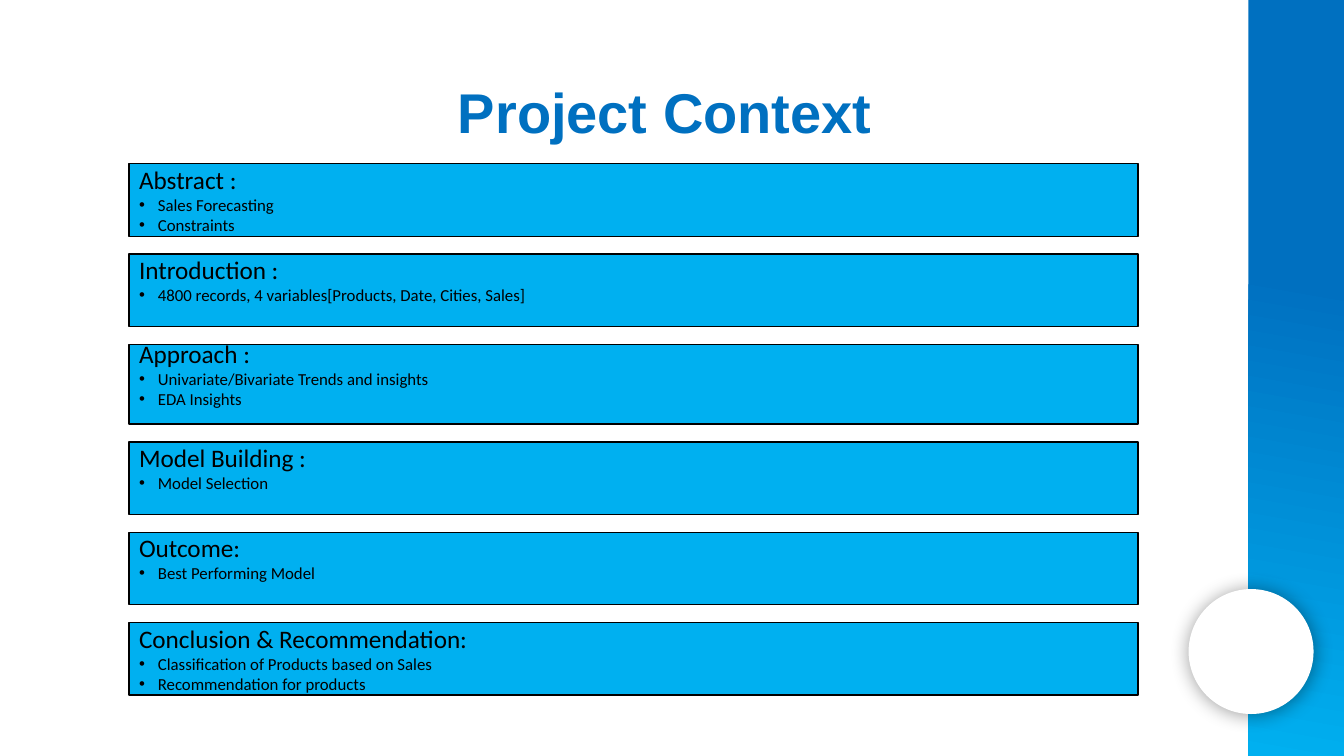
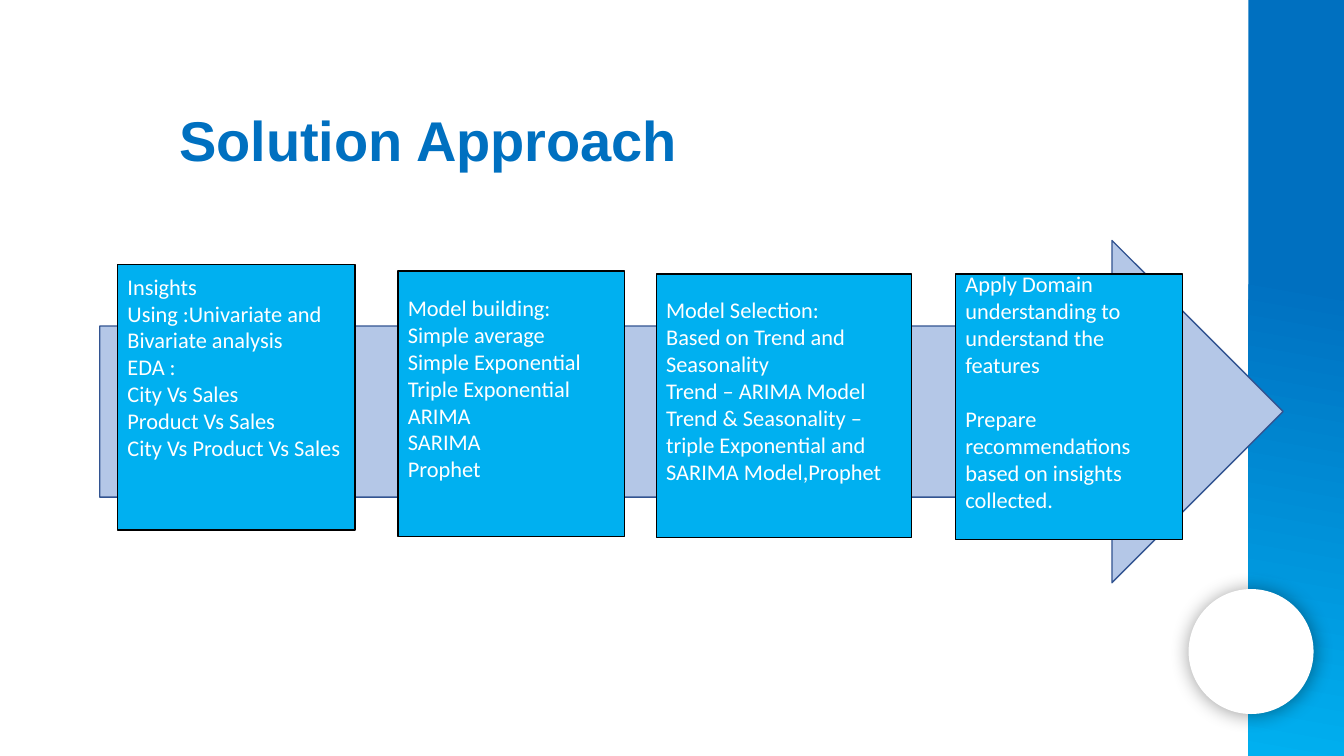
"""Build two slides on a sales forecasting project: its context and its approach."""
from lxml import etree
from pptx import Presentation, util as u
from pptx.dml.color import RGBColor
from pptx.enum import shapes, text
from pptx.oxml import ns

PX = 9525
BLUE = RGBColor(0x00, 0x70, 0xC0)
SKY = RGBColor(0x00, 0xB0, 0xF0)
PALE = RGBColor(0xB4, 0xC7, 0xE7)
NAVY = RGBColor(0x32, 0x54, 0x91)
BLACK = RGBColor(0, 0, 0)
WHITE = RGBColor(255, 255, 255)
KIND = shapes.MSO_SHAPE
HEAD, ITEM, STEP = 18, 12, 16

ROWS = [
    (69, 0, "Abstract :", ["Sales Forecasting", "Constraints"]),
    (69, 20, "Introduction :",
     ["4800 records, 4 variables[Products, Date, Cities, Sales]"]),
    (76, 20, "Approach :",
     ["Univariate/Bivariate Trends and insights", "EDA Insights"]),
    (69, 20, "Model Building :", ["Model Selection"]),
    (69, 20, "Outcome:", ["Best Performing Model"]),
    (69, 0, "Conclusion & Recommendation:",
     ["Classification of Products based on Sales", "Recommendation for products"]),
]
STEPS = [
    ((112, 252, 226, 253), 58, 0,
     ["Insights Using :Univariate and Bivariate analysis", "EDA :",
      "City Vs Sales", "Product Vs Sales", "City Vs Product Vs Sales"]),
    ((379, 258, 216, 253), 29, 0,
     ["Model building:", "Simple average", "Simple Exponential",
      "Triple Exponential", "ARIMA", "SARIMA", "Prophet"]),
    ((625, 261, 243, 251), 29, 0,
     ["Model Selection:", "Based on Trend and Seasonality",
      "Trend – ARIMA Model",
      "Trend & Seasonality – triple Exponential and SARIMA Model,Prophet"]),
    ((910, 261, 216, 253), 29, 26,
     ["Apply Domain understanding to understand the features",
      "Prepare recommendations based on insights collected."]),
]


def emu(*px):
    """Turn px lengths into EMU."""
    return [u.Emu(n * PX) for n in px]


def add_shape(slide, kind, at, fill, line=None):
    """Add a flat preset shape."""
    shape = slide.shapes.add_shape(kind, *emu(*at))
    shape.shadow.inherit = False
    shape.fill.solid()
    shape.fill.fore_color.rgb = fill
    if line is None:
        shape.line.fill.background()
    else:
        shape.line.color.rgb = line
        shape.line.width = u.Pt(1)
    return shape


def add_glow(shape):
    """Give a shape a soft shadow."""
    fx = shape.element.spPr.find(ns.qn("a:effectLst"))
    glow = etree.SubElement(fx, ns.qn("a:outerShdw"), blurRad=str(u.Pt(14)),
                            dist=str(u.Pt(1)), dir=str(43 * 60000),
                            algn="ctr", rotWithShape="0")
    tint = etree.SubElement(glow, ns.qn("a:srgbClr"), val=str(BLACK))
    etree.SubElement(tint, ns.qn("a:alpha"), val="40000")


def dress(slide, layout):
    """Draw the side band and disc, and move them to the layout."""
    band = add_shape(slide, KIND.RECTANGLE, (1189, 0, 91, 720), BLUE)
    band.fill.gradient()
    band.fill.gradient_angle = 260
    for stop, (place, tone) in zip(band.fill.gradient_stops,
                                   [(0.37, BLUE), (1, SKY)]):
        stop.position = place
        stop.color.rgb = tone
    disc = add_shape(slide, KIND.OVAL, (1132, 561, 119, 119), WHITE)
    add_glow(disc)
    for part in (band, disc):
        layout.shapes.element.append(part.element)


def set_font(para, size, tone, face="Calibri", bold=False):
    """Format the runs of a paragraph."""
    for run in para.runs:
        run.font.name = face
        run.font.size = u.Pt(size)
        run.font.bold = bold
        run.font.color.rgb = tone


def set_title(slide, words, at, align):
    """Fill and place the title."""
    title = slide.shapes.title
    title.left, title.top, title.width, title.height = emu(*at)
    frame = title.text_frame
    frame.text = words
    frame.auto_size = text.MSO_AUTO_SIZE.NONE
    frame.vertical_anchor = text.MSO_ANCHOR.TOP
    para = frame.paragraphs[0]
    para.alignment = align
    set_font(para, 40, BLUE, "Arial", True)


def add_box(slide, at, lines, pad):
    """Add a sky box of left-aligned lines and return its paragraphs."""
    box = add_shape(slide, KIND.RECTANGLE, at, SKY, BLACK)
    frame = box.text_frame
    frame.word_wrap = True
    frame.vertical_anchor = text.MSO_ANCHOR.MIDDLE
    frame.margin_bottom = u.Emu((5 + pad) * PX)
    frame.text = "\n".join(lines)
    for para in frame.paragraphs:
        para.alignment = text.PP_ALIGN.LEFT
    return frame.paragraphs


def add_dot(para):
    """Set a bullet and its hanging indent."""
    props = para._p.get_or_add_pPr()
    props.set("marL", str(18 * PX))
    props.set("indent", str(-18 * PX))
    etree.SubElement(props, ns.qn("a:buFont"), typeface="Arial")
    etree.SubElement(props, ns.qn("a:buChar"), char="•")


def add_rows(slide):
    """Stack the topic boxes with equal gaps."""
    top, gap = 156, 17
    for high, pad, head, items in ROWS:
        first, *rest = add_box(slide, (123, top, 961, high), [head, *items], pad)
        set_font(first, HEAD, BLACK)
        for para in rest:
            set_font(para, ITEM, BLACK)
            add_dot(para)
        top += high + gap


def add_steps(slide):
    """Lay the step boxes over a wide arrow."""
    add_shape(slide, KIND.RIGHT_ARROW, (95, 229, 1127, 326), PALE, NAVY)
    for at, pad, gap, lines in STEPS:
        for rank, para in enumerate(add_box(slide, at, lines, pad)):
            set_font(para, STEP, WHITE)
            if rank and gap:
                para.space_before = u.Emu(gap * PX)


def main():
    """Build and save the slides."""
    deck = Presentation()
    deck.slide_width, deck.slide_height = emu(1280, 720)
    layout = deck.slide_layouts[5]
    topic = deck.slides.add_slide(layout)
    dress(topic, layout)
    set_title(topic, "Project Context ", (151, 69, 979, 74), text.PP_ALIGN.CENTER)
    add_rows(topic)
    plan = deck.slides.add_slide(layout)
    set_title(plan, "Solution Approach", (161, 96, 957, 74), text.PP_ALIGN.LEFT)
    add_steps(plan)
    deck.save("out.pptx")


if __name__ == "__main__":
    main()
